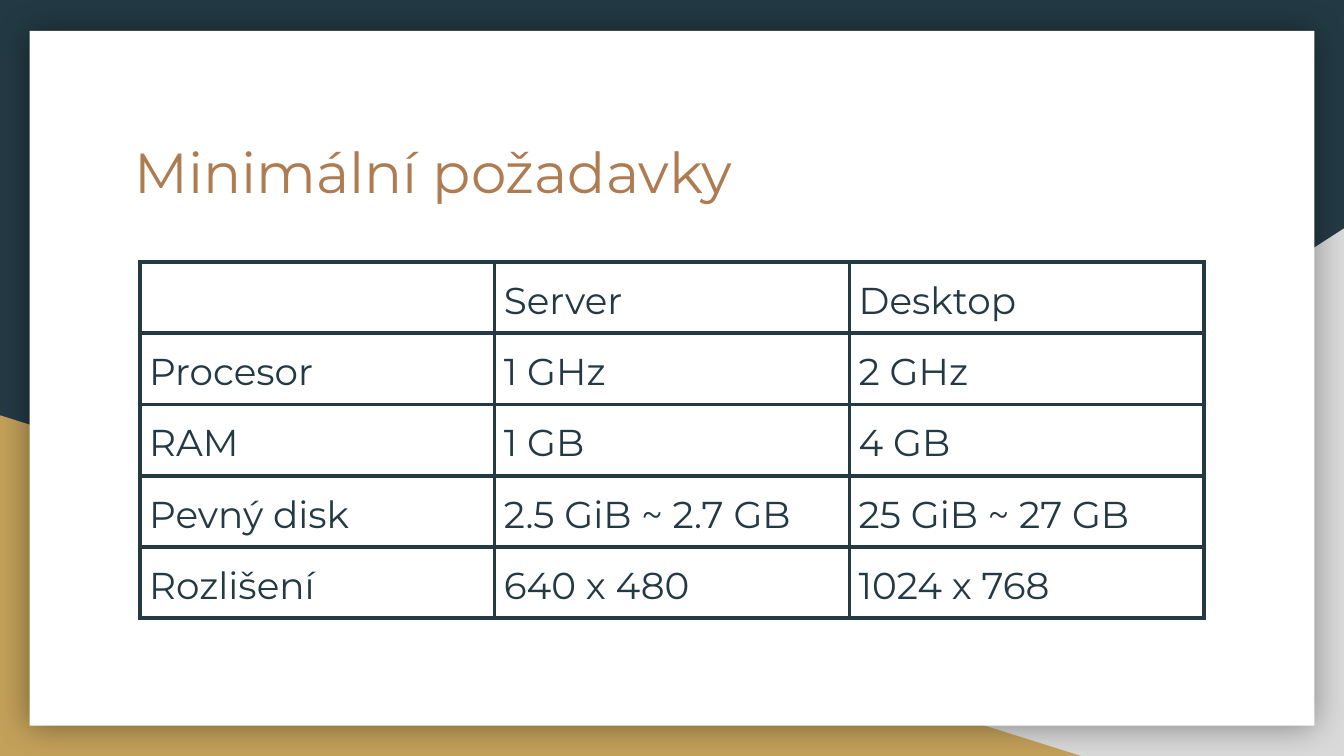
from lxml import etree
from pptx import Presentation
from pptx.dml.color import RGBColor
from pptx.enum.shapes import MSO_SHAPE as Shape
from pptx.enum.text import MSO_ANCHOR as Anchor
from pptx.oxml import parse_xml
from pptx.oxml.ns import nsdecls, qn
from pptx.util import Inches, Pt

NAVY = RGBColor(0x23, 0x3A, 0x44)
GOLD = RGBColor(0xC4, 0xA1, 0x5A)
GREY = RGBColor(0xD9, 0xD9, 0xD9)
WHITE = RGBColor(0xFF, 0xFF, 0xFF)
BROWN = RGBColor(0xAF, 0x7B, 0x51)
FONT = "Montserrat"

REQUIREMENTS = [
    ["", "Server", "Desktop"],
    ["Procesor", "1 GHz", "2 GHz"],
    ["RAM", "1 GB", "4 GB"],
    ["Pevný disk", "2.5 GiB ~ 2.7 GB", "25 GiB ~ 27 GB"],
    ["Rozlišení", "640 x 480", "1024 x 768"],
]
COLUMN_WIDTH = 2.64
ROW_HEIGHT = 0.53
CELL_MARGIN = 0.07


def style_font(paragraph, size, color):
    font = paragraph.font
    font.name, font.size, font.bold = FONT, Pt(size), False
    font.color.rgb = color


def add_panel(slide, kind, left, top, width, height, color):
    shape = slide.shapes.add_shape(
        kind, Inches(left), Inches(top), Inches(width), Inches(height))
    shape.shadow.inherit = False
    shape.fill.solid()
    shape.fill.fore_color.rgb = color
    shape.line.fill.background()
    return shape


def add_glow_shadow(shape):
    effects = shape._element.spPr.find(qn("a:effectLst"))
    effects.append(parse_xml(
        f'<a:outerShdw {nsdecls("a")} blurRad="{Pt(18)}" dist="0" dir="0" '
        'algn="ctr" rotWithShape="0"><a:srgbClr val="000000">'
        '<a:alpha val="40000"/></a:srgbClr></a:outerShdw>'))


def add_title(slide, text):
    box = slide.shapes.add_textbox(
        Inches(0.9), Inches(0.92), Inches(8.21), Inches(1.04))
    frame = box.text_frame
    frame.word_wrap = True
    frame.vertical_anchor = Anchor.TOP
    frame.margin_left = frame.margin_right = Inches(0.1)
    frame.margin_top = frame.margin_bottom = Inches(0.1)
    paragraph = frame.paragraphs[0]
    paragraph.text = text
    style_font(paragraph, 30.2, BROWN)


def set_borders(cell, color, width):
    properties = cell._tc.get_or_add_tcPr()
    for index, side in enumerate(("lnL", "lnR", "lnT", "lnB")):
        line = etree.Element(qn(f"a:{side}"), w=str(Pt(width)))
        fill = etree.SubElement(line, qn("a:solidFill"))
        etree.SubElement(fill, qn("a:srgbClr"), val=str(color))
        properties.insert(index, line)


def fill_cell(cell, text):
    cell.margin_left = cell.margin_right = Inches(CELL_MARGIN)
    cell.margin_top = cell.margin_bottom = Inches(CELL_MARGIN)
    cell.fill.background()
    set_borders(cell, NAVY, 2.25)
    paragraph = cell.text_frame.paragraphs[0]
    paragraph.text = text
    paragraph.line_spacing = 1.15
    style_font(paragraph, 20, NAVY)


def add_requirements_table(slide, rows):
    row_count, column_count = len(rows), len(rows[0])
    table = slide.shapes.add_table(
        row_count, column_count, Inches(1.04), Inches(1.95),
        Inches(COLUMN_WIDTH * column_count),
        Inches(ROW_HEIGHT * row_count)).table
    table.first_row = table.horz_banding = False
    for row_index, row in enumerate(rows):
        for column_index, text in enumerate(row):
            fill_cell(table.cell(row_index, column_index), text)


def main():
    # Widescreen slide, 16:9
    presentation = Presentation()
    presentation.slide_width = Inches(10)
    presentation.slide_height = Inches(10) * 9 // 16
    slide = presentation.slides.add_slide(presentation.slide_layouts[6])

    # Background with coloured corners and a white card
    slide.background.fill.solid()
    slide.background.fill.fore_color.rgb = NAVY
    grey_corner = add_panel(
        slide, Shape.RIGHT_TRIANGLE, 3.92, 1.7, 6.08, 3.93, GREY)
    grey_corner._element.spPr.xfrm.set("flipH", "1")
    add_panel(slide, Shape.RIGHT_TRIANGLE, 0, 3.09, 8.06, 2.54, GOLD)
    card = add_panel(slide, Shape.RECTANGLE, 0.22, 0.23, 9.56, 5.17, WHITE)
    add_glow_shadow(card)

    # Content
    add_title(slide, "Minimální požadavky")
    add_requirements_table(slide, REQUIREMENTS)

    presentation.save("out.pptx")


if __name__ == "__main__":
    main()
